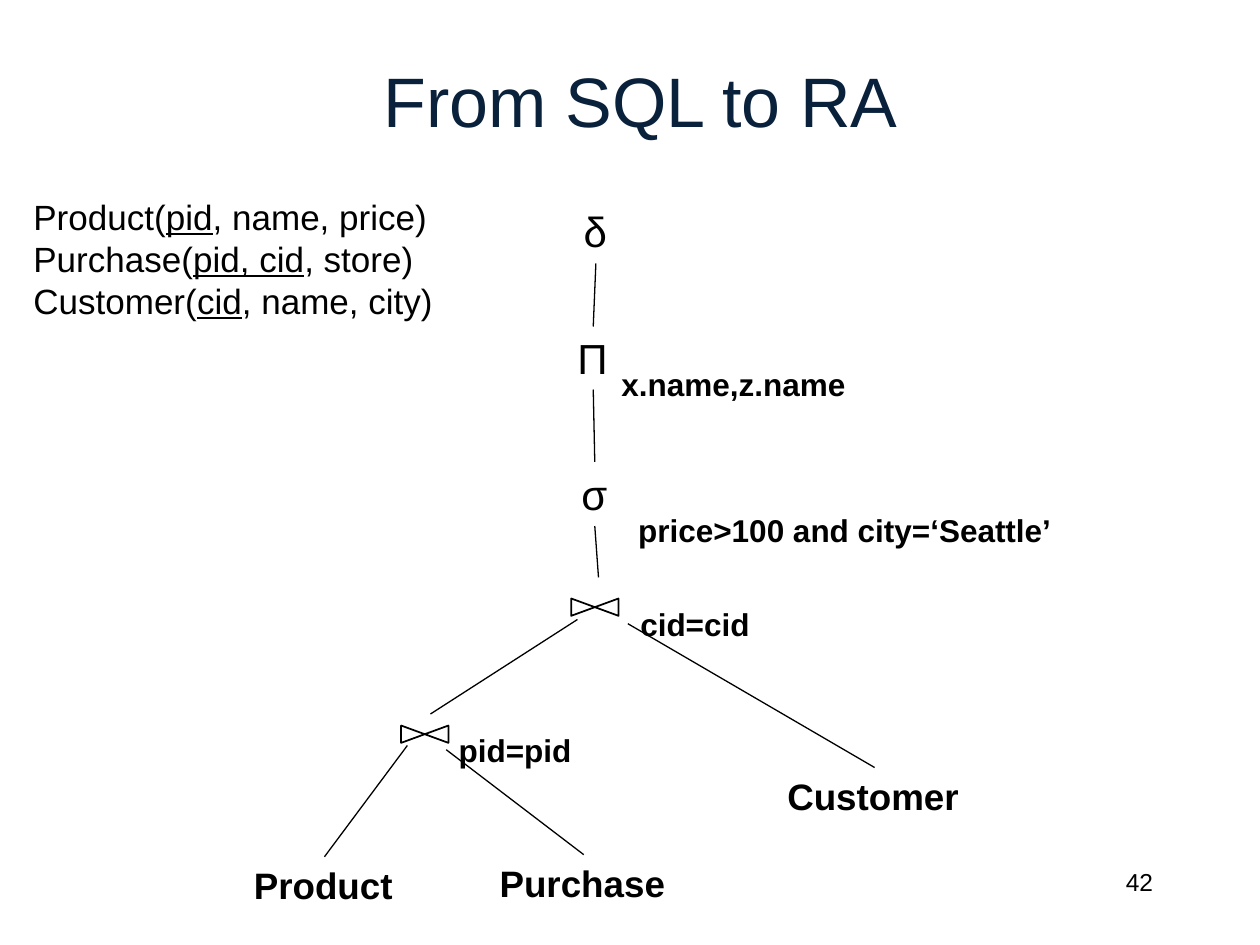
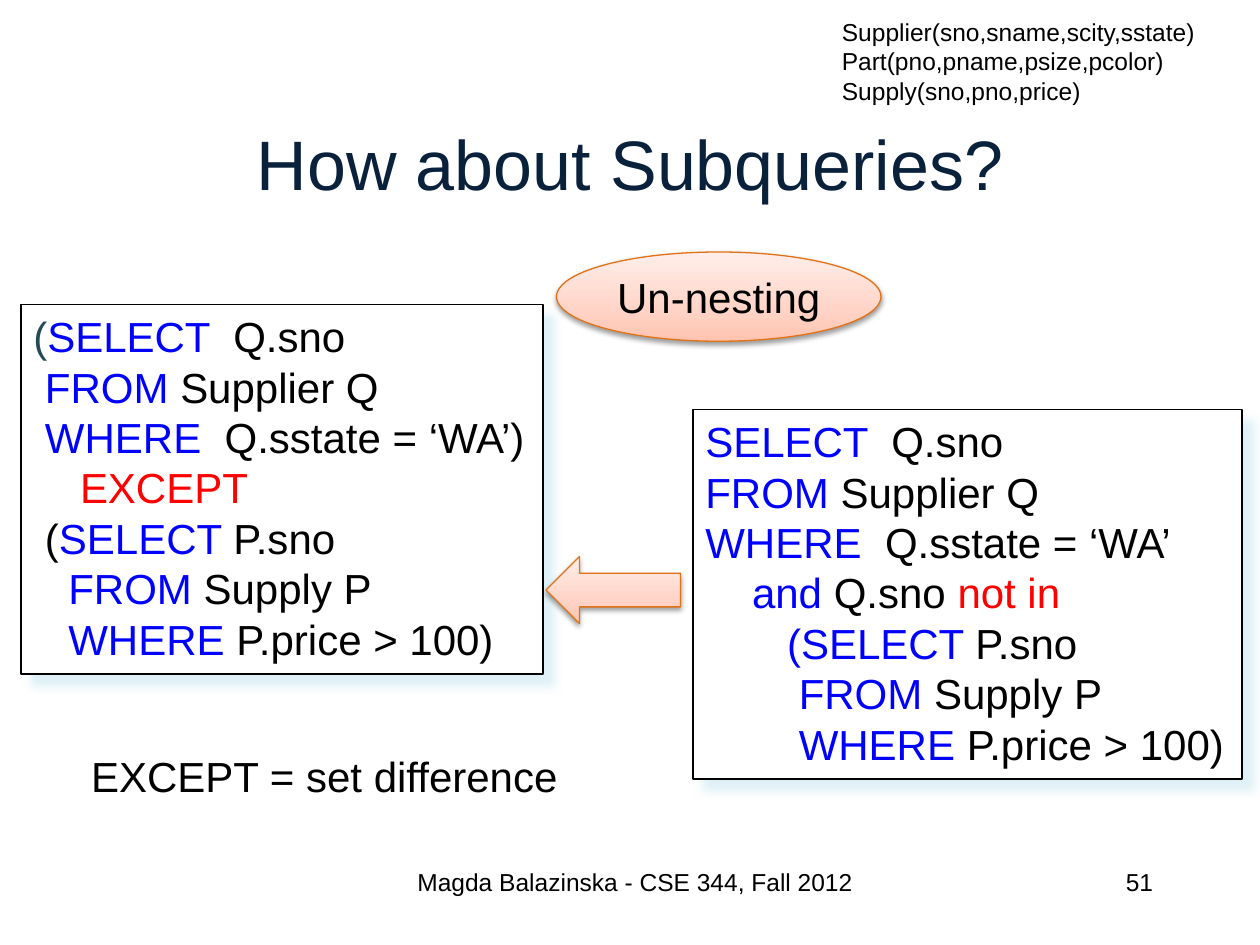
"""Build two database lecture slides: a relational algebra tree and an un-nested subquery."""
from lxml import etree
from pptx import Presentation
from pptx import util as u
from pptx.dml.color import RGBColor
from pptx.enum import shapes, text
from pptx.oxml.ns import qn

COLOURS = {
    "title": "09213B", "ink": "000000", "paper": "FFFFFF", "keyword": "0000FF",
    "alert": "FF0000", "bracket": "244A58", "edge": "E27218", "code_shadow": "D5EDF4",
}
PEACH_STOPS = [(0, "FFC3AF"), (35, "FFD4C7"), (100, "FFEEEA")]
SOFT_SHADOW = ("ink", 38, 3.1, 1.6, 90)
CODE_SHADOW = ("code_shadow", 75, 5, 8.5, 45)
FONT = "Arial"
COLUMNS, ROWS = 120, 90
CELL = u.Inches(10) / COLUMNS
SPACE_SHARE = 0.278
NUMBER_BOX = (86, 82, 25, 6)
FOOTER_BOX = (38, 82, 45, 6)
LEFT, CENTER, RIGHT = text.PP_ALIGN.LEFT, text.PP_ALIGN.CENTER, text.PP_ALIGN.RIGHT

RELATIONS = [
    [("Product(", {}), ("pid", {"underline": True}), (", name, price)", {})],
    [("Purchase(", {}), ("pid, cid", {"underline": True}), (", store)", {})],
    [("Customer(", {}), ("cid", {"underline": True}), (", name, city)", {})],
]
OPERATORS = [
    ("δ", (54.4, 19, 4.7, 6.1)),
    ("Π", (53.8, 31.1, 5.4, 6)),
    ("σ", (54.2, 44, 4.9, 6.1)),
]
CONDITIONS = [
    ("x.name,z.name", (58, 34.2, 24, 4.8)),
    ("price>100 and city=‘Seattle’", (59.6, 48.1, 42.2, 4.8)),
    ("cid=cid", (59.8, 57, 13, 4.8)),
    ("pid=pid", (42.5, 69, 13.3, 4.8)),
]
TABLES = {
    "Product": (23, 81.6, 15.8, 5.4),
    "Purchase": (46.4, 81.4, 18.4, 5.4),
    "Customer": (73.8, 73.1, 19, 5.4),
}
JOINS = [(54.4, 57), (38.2, 69.1)]
JOIN_SIZE = (4.5, 1.65)
TOP_JOIN_POINT = (57, 55)
JOIN_BRANCH = ((55, 59), (41, 68))
TABLE_BRANCHES = [("Product", (38.8, 71)), ("Purchase", (42.5, 71.4)), ("Customer", (59.8, 59.4))]

SUPPLIER_SCHEMA = ["Supplier(sno,sname,scity,sstate)", "Part(pno,pname,psize,pcolor)", "Supply(sno,pno,price)"]
NESTED_QUERY = [
    (0, [("SELECT  ", "keyword"), ("Q.sno", "ink")]),
    (0, [("FROM", "keyword"), (" Supplier Q", "ink")]),
    (0, [("WHERE  ", "keyword"), ("Q.sstate = ‘WA’", "ink")]),
    (4, [("and ", "keyword"), ("Q.sno ", "ink"), ("not in", "alert")]),
    (7, [("(SELECT ", "keyword"), ("P.sno", "ink")]),
    (8, [("FROM", "keyword"), (" Supply P", "ink")]),
    (8, [("WHERE ", "keyword"), ("P.price > 100)", "ink")]),
]
EXCEPT_QUERY = [
    (0, [("(", "bracket"), ("SELECT  ", "keyword"), ("Q.sno", "ink")]),
    (1, [("FROM", "keyword"), (" Supplier Q", "ink")]),
    (1, [("WHERE  ", "keyword"), ("Q.sstate = ‘WA’)", "ink")]),
    (4, [("EXCEPT", "alert")]),
    (1, [("(", "ink"), ("SELECT ", "keyword"), ("P.sno", "ink")]),
    (3, [("FROM", "keyword"), (" Supply P", "ink")]),
    (3, [("WHERE ", "keyword"), ("P.price > 100)", "ink")]),
]
QUERIES = [(NESTED_QUERY, (66, 39, 52.3, 35.2)), (EXCEPT_QUERY, (2, 29, 49.7, 35.2))]


def cells(*values):
    return [u.Emu(round(value * CELL)) for value in values]


def rgb(name):
    return RGBColor.from_string(COLOURS[name])


def write(shape, lines, size, align=LEFT, colour="ink", bold=False, wrap=False, anchor=text.MSO_ANCHOR.TOP):
    frame = shape.text_frame
    frame.word_wrap = wrap
    frame.vertical_anchor = anchor
    for index, (indent, runs) in enumerate(lines):
        paragraph = frame.paragraphs[0] if index == 0 else frame.add_paragraph()
        paragraph.alignment = align
        if indent:
            paragraph._p.get_or_add_pPr().set("marL", str(u.Pt(indent * size * SPACE_SHARE)))
        for words, style in runs:
            run = paragraph.add_run()
            run.text = words
            run.font.name = FONT
            run.font.size = u.Pt(size)
            run.font.bold = bold
            run.font.underline = style.get("underline", False)
            run.font.color.rgb = rgb(style.get("colour", colour))


def add_text(slide, box, words, size, **options):
    shape = slide.shapes.add_textbox(*cells(*box))
    write(shape, [(0, [(words, {})])], size, **options)


def add_line(slide, start, end):
    line = slide.shapes.add_connector(shapes.MSO_CONNECTOR.STRAIGHT, *cells(*start, *end))
    line.line.color.rgb = rgb("ink")
    line.line.width = u.Pt(0.75)
    etree.SubElement(line._element.spPr, qn("a:effectLst"))


def add_join(slide, left, top):
    right, bottom = left + JOIN_SIZE[0], top + JOIN_SIZE[1]
    builder = slide.shapes.build_freeform(*cells(left, top))
    corners = [(right, bottom), (right, top), (left, bottom)]
    builder.add_line_segments([cells(*corner) for corner in corners], close=True)
    shape = builder.convert_to_shape()
    shape.shadow.inherit = False
    shape.fill.background()
    shape.line.color.rgb = rgb("ink")
    shape.line.width = u.Pt(1)


def add_panel(slide, kind, box, edge, width, shadow):
    shape = slide.shapes.add_shape(kind, *cells(*box))
    shape.line.color.rgb = rgb(edge)
    shape.line.width = u.Pt(width)
    shape.shadow.inherit = False
    colour, alpha, blur, distance, angle = shadow
    effects = shape._element.spPr.find(qn("a:effectLst"))
    outer = etree.SubElement(effects, qn("a:outerShdw"), blurRad=str(u.Pt(blur)), dist=str(u.Pt(distance)),
                             dir=str(angle * 60000), algn="tl", rotWithShape="0")
    tone = etree.SubElement(outer, qn("a:srgbClr"), val=COLOURS[colour])
    etree.SubElement(tone, qn("a:alpha"), val=str(alpha * 1000))
    return shape


def add_peach(slide, kind, box):
    shape = add_panel(slide, kind, box, "edge", 0.75, SOFT_SHADOW)
    shape.fill.gradient()
    shape.fill.gradient_angle = 90
    stops = shape._element.spPr.find(".//" + qn("a:gsLst"))
    stops.clear()
    for position, colour in PEACH_STOPS:
        stop = etree.SubElement(stops, qn("a:gs"), pos=str(position * 1000))
        etree.SubElement(stop, qn("a:srgbClr"), val=colour)
    return shape


def start_slide(presentation, title, left, top, number):
    slide = presentation.slides.add_slide(presentation.slide_layouts[6])
    add_text(slide, (left, top, 102, 15), title, 40, align=CENTER, colour="title",
             wrap=True, anchor=text.MSO_ANCHOR.MIDDLE)
    add_text(slide, NUMBER_BOX, number, 14, align=RIGHT, wrap=True)
    return slide


def top_of(box):
    return box[0] + box[2] / 2, box[1]


def bottom_of(box):
    return box[0] + box[2] / 2, box[1] + box[3]


def build_tree(presentation):
    slide = start_slide(presentation, "From SQL to RA", 10, 2, "42")
    schema = slide.shapes.add_textbox(*cells(2, 18, 40.8, 13.3))
    write(schema, [(0, runs) for runs in RELATIONS], 20)
    for labels, size, bold in ((OPERATORS, 24, False), (CONDITIONS, 18, True), (TABLES.items(), 21, True)):
        for words, box in labels:
            add_text(slide, box, words, size, bold=bold)
    for corner in JOINS:
        add_join(slide, *corner)
    boxes = [box for _, box in OPERATORS]
    ends = [top_of(box) for box in boxes[1:]] + [TOP_JOIN_POINT]
    for box, end in zip(boxes, ends):
        add_line(slide, bottom_of(box), end)
    add_line(slide, *JOIN_BRANCH)
    for name, start in TABLE_BRANCHES:
        add_line(slide, start, top_of(TABLES[name]))


def build_subqueries(presentation):
    slide = start_slide(presentation, "How about Subqueries?", 9, 8, "51")
    bubble = add_peach(slide, shapes.MSO_SHAPE.FLOWCHART_CONNECTOR, (53, 24, 30.9, 8.5))
    write(bubble, [(0, [("Un-nesting", {})])], 24, align=CENTER, anchor=text.MSO_ANCHOR.MIDDLE)
    for query, box in QUERIES:
        panel = add_panel(slide, shapes.MSO_SHAPE.RECTANGLE, box, "ink", 1, CODE_SHADOW)
        panel.fill.solid()
        panel.fill.fore_color.rgb = rgb("paper")
        lines = [(indent, [(words, {"colour": colour}) for words, colour in runs]) for indent, runs in query]
        write(panel, lines, 24)
    add_peach(slide, shapes.MSO_SHAPE.LEFT_ARROW, (52, 53, 12.8, 6.4))
    schema = slide.shapes.add_textbox(*cells(79, 1, 36.2, 9.7))
    write(schema, [(0, [(words, {})]) for words in SUPPLIER_SCHEMA], 14)
    add_text(slide, (7.5, 70.9, 47.3, 6), "EXCEPT = set difference", 24)
    add_text(slide, FOOTER_BOX, "Magda Balazinska - CSE 344, Fall 2012", 14, align=CENTER, wrap=True)


presentation = Presentation()
presentation.slide_width, presentation.slide_height = cells(COLUMNS, ROWS)
build_tree(presentation)
build_subqueries(presentation)
presentation.save("out.pptx")
